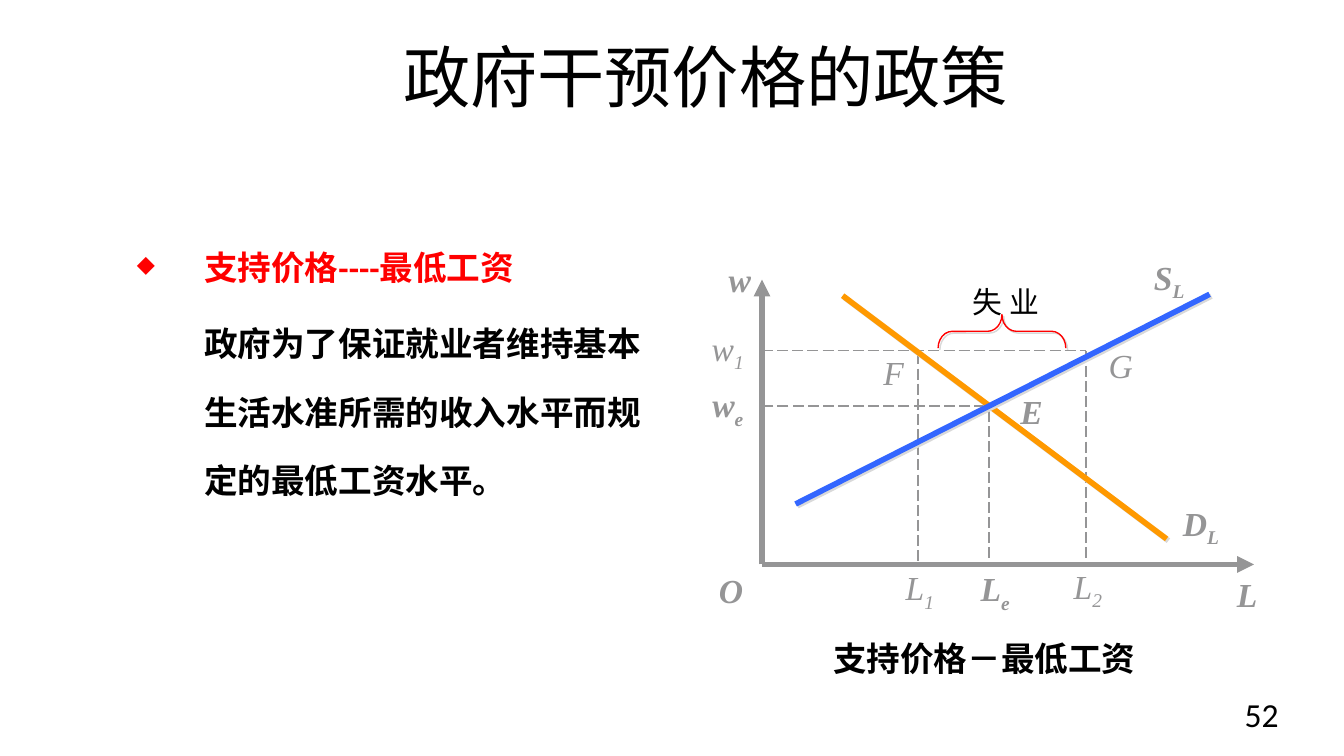
from typing import NamedTuple

from lxml.etree import SubElement
from pptx import Presentation
from pptx.dml.color import RGBColor
from pptx.enum.dml import MSO_LINE_DASH_STYLE as Dash
from pptx.enum.shapes import MSO_CONNECTOR, MSO_SHAPE
from pptx.enum.text import MSO_ANCHOR as Anchor, PP_ALIGN as Align
from pptx.oxml.ns import qn
from pptx.util import Inches, Pt

BLACK, RED, GRAY, ORANGE, BLUE = "000000", "FF0000", "959596", "FF9900", "3366FF"
SANS, SERIF = "Calibri", "Times New Roman"

# Positions on the graph, in inches
ORIGIN_X, ORIGIN_Y = 5.67, 4.2
MIN_WAGE_Y, EQUILIBRIUM_Y = 2.61, 3.02
DEMANDED_X, EQUILIBRIUM_X, SUPPLIED_X = 6.83, 7.36, 8.08


class Segment(NamedTuple):
    start: tuple[float, float]
    end: tuple[float, float]
    color: str = GRAY
    width: float = 0.75


class Symbol(NamedTuple):
    letter: str
    subscript: str
    left: float
    top: float
    width: float
    bold: bool = True


GUIDES = [
    Segment((ORIGIN_X, MIN_WAGE_Y), (SUPPLIED_X, MIN_WAGE_Y)),
    Segment((DEMANDED_X, 2.63), (DEMANDED_X, ORIGIN_Y)),
    Segment((SUPPLIED_X, MIN_WAGE_Y), (SUPPLIED_X, ORIGIN_Y)),
    Segment((7.33, EQUILIBRIUM_Y), (ORIGIN_X, EQUILIBRIUM_Y)),
    Segment((EQUILIBRIUM_X, 3.06), (EQUILIBRIUM_X, ORIGIN_Y)),
]
AXES = [
    Segment((ORIGIN_X, ORIGIN_Y), (ORIGIN_X, 2.08), GRAY, 3),
    Segment((ORIGIN_X, ORIGIN_Y), (9.33, ORIGIN_Y), GRAY, 3),
]
CURVES = [
    Segment((6.27, 2.2), (8.68, 4.01), ORANGE, 3),
    Segment((5.92, 3.75), (9, 2.19), BLUE, 3),
]
SYMBOLS = [
    Symbol("L", "1", 6.63, 4.17, 0.43, False),
    Symbol("L", "2", 7.88, 4.16, 0.43, False),
    Symbol("w", "1", 5.19, 2.39, 0.45, False),
    Symbol("F", "", 6.47, 2.57, 0.36, False),
    Symbol("G", "", 8.15, 2.52, 0.33, False),
    Symbol("L", "", 9.1, 4.22, 0.36),
    Symbol("O", "", 5.25, 4.19, 0.33),
    Symbol("L", "e", 7.19, 4.18, 0.43),
    Symbol("w", "", 5.32, 1.88, 0.37),
    Symbol("w", "e", 5.19, 2.81, 0.45),
    Symbol("D", "L", 8.69, 3.69, 0.49),
    Symbol("S", "L", 8.41, 1.86, 0.58),
    Symbol("E", "", 7.49, 2.86, 0.37),
]


def rgb(color: str) -> RGBColor:
    return RGBColor.from_string(color)


def add_box(slide, left: float, top: float, width: float, height: float,
            anchor=Anchor.TOP, wrap: bool = True):
    """Add an empty text box and return its text frame."""
    frame = slide.shapes.add_textbox(
        Inches(left), Inches(top), Inches(width), Inches(height)).text_frame
    frame.word_wrap = wrap
    frame.vertical_anchor = anchor
    return frame


def write(paragraph, text: str, *, size: float = 18, font: str = SANS, color: str = BLACK,
          bold: bool = False, italic: bool = False, subscript: bool = False,
          align=None) -> None:
    """Append a formatted run to the paragraph."""
    run = paragraph.add_run()
    run.text = text
    run.font.size = Pt(size)
    run.font.name = font
    run.font.color.rgb = rgb(color)
    run.font.bold, run.font.italic = bold, italic
    if subscript:
        run.font._element.set("baseline", "-25000")
    if align is not None:
        paragraph.alignment = align


def hang(paragraph, bullet: str = "") -> None:
    """Give the paragraph a half-inch hanging indent, with a bullet if there is one."""
    properties = paragraph._p.get_or_add_pPr()
    properties.set("marL", str(Inches(0.5)))
    properties.set("indent", str(-Inches(0.5)))
    if bullet:
        SubElement(properties, qn("a:buSzPct")).set("val", "70000")
        SubElement(properties, qn("a:buChar")).set("char", bullet)


def set_effects(shape, shadow: bool) -> None:
    """Clear the theme shadow, or put a small gray one in its place."""
    effects = SubElement(shape._element.spPr, qn("a:effectLst"))
    if shadow:
        outer = SubElement(effects, qn("a:outerShdw"), dist=str(Pt(1.4)), dir="2700000")
        SubElement(outer, qn("a:srgbClr"), val="D9D9D9")


def draw(slide, segment: Segment, *, dashed: bool = False, arrow: bool = False,
         shadow: bool = False) -> None:
    ends = [Inches(value) for value in (*segment.start, *segment.end)]
    connector = slide.shapes.add_connector(MSO_CONNECTOR.STRAIGHT, *ends)
    connector.line.color.rgb = rgb(segment.color)
    connector.line.width = Pt(segment.width)
    if dashed:
        connector.line.dash_style = Dash.LONG_DASH
    if arrow:
        SubElement(connector.line._get_or_add_ln(), qn("a:tailEnd"), type="triangle")
    set_effects(connector, shadow)


def label(slide, symbol: Symbol) -> None:
    frame = add_box(slide, symbol.left, symbol.top, symbol.width, 0.4, wrap=False)
    style = dict(font=SERIF, color=GRAY, bold=symbol.bold, italic=True, align=Align.CENTER)
    write(frame.paragraphs[0], symbol.letter, **style)
    if symbol.subscript:
        write(frame.paragraphs[0], symbol.subscript, subscript=True, **style)


def add_explanation(slide) -> None:
    frame = add_box(slide, 0.92, 1.79, 4.08, 3.34)
    heading = frame.paragraphs[0]
    hang(heading, "◆")
    write(heading, "支持价格----最低工资", color=RED, bold=True)
    definition = frame.add_paragraph()
    hang(definition)
    definition.line_spacing = 1.7
    write(definition, "\t", size=20, bold=True)
    write(definition, "政府为了保证就业者维持基本生活水准所需的收入水平而规定的最低工资水平。",
          bold=True)


def add_unemployment(slide) -> None:
    """Mark the gap between labour supplied and demanded."""
    unemployment = add_box(slide, 7, 2.06, 0.92, 0.37)
    write(unemployment.paragraphs[0], " 失 业", size=16, font=SERIF, align=Align.CENTER)
    brace = slide.shapes.add_shape(
        MSO_SHAPE.LEFT_BRACE, Inches(7.33), Inches(1.99), Inches(0.25), Inches(0.95))
    brace.rotation = 90
    brace.adjustments[0] = 0.42
    brace.fill.background()
    brace.line.color.rgb = rgb(RED)
    brace.line.width = Pt(0.75)
    set_effects(brace, shadow=True)


def main() -> None:
    deck = Presentation()
    deck.slide_width = Inches(10)
    deck.slide_height = deck.slide_width * 9 // 16
    slide = deck.slides.add_slide(deck.slide_layouts[6])

    page = add_box(slide, 7.17, 5.12, 2.5, 0.39, Anchor.MIDDLE)
    write(page.paragraphs[0], " 52 ", align=Align.RIGHT)
    title = add_box(slide, 0.75, 0.21, 9, 0.81, Anchor.MIDDLE)
    title.margin_top, title.margin_bottom = Inches(0), Inches(0.1)
    write(title.paragraphs[0], "政府干预价格的政策", size=36, align=Align.CENTER)
    add_explanation(slide)

    for guide in GUIDES:
        draw(slide, guide, dashed=True)
    for axis in AXES:
        draw(slide, axis, arrow=True)
    for symbol in SYMBOLS:
        label(slide, symbol)
    for curve in CURVES:
        draw(slide, curve, shadow=True)
    add_unemployment(slide)

    caption = add_box(slide, 6.1, 4.7, 3.07, 0.4)
    write(caption.paragraphs[0], "支持价格－最低工资", bold=True)
    deck.save("out.pptx")


if __name__ == "__main__":
    main()
